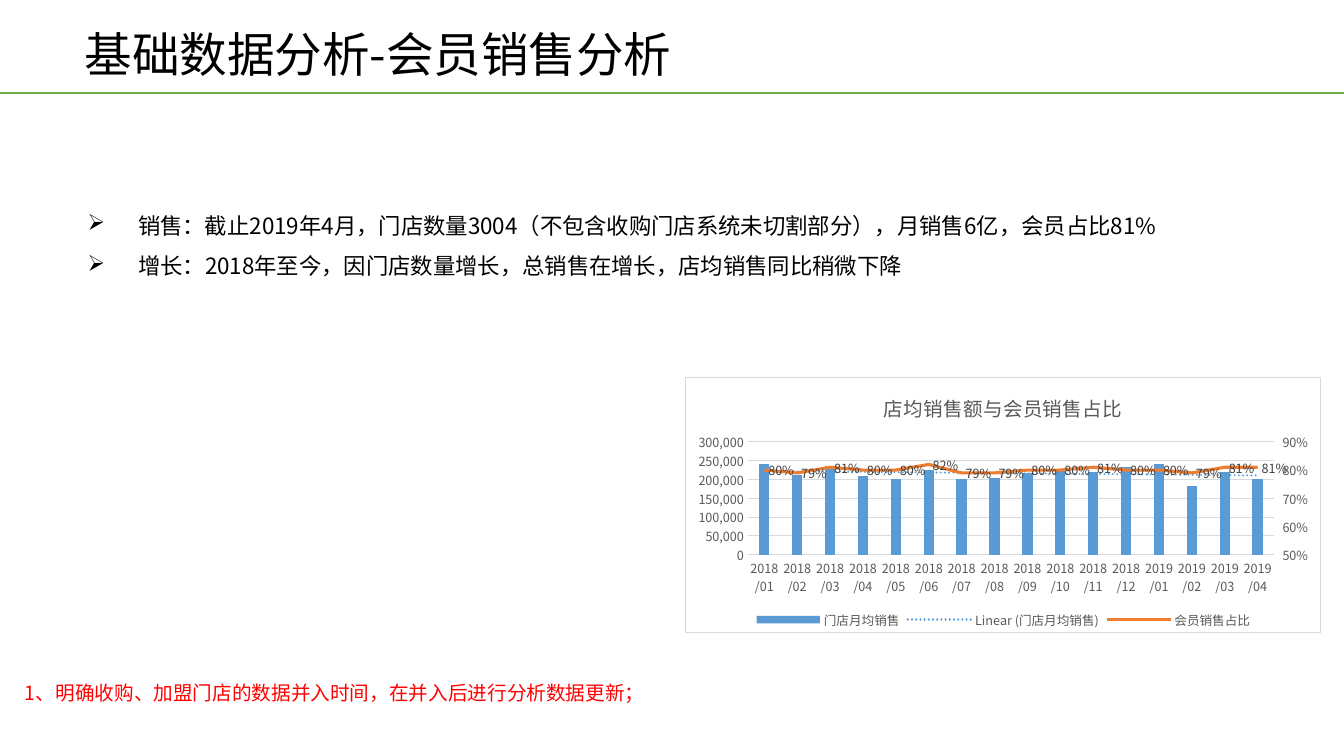
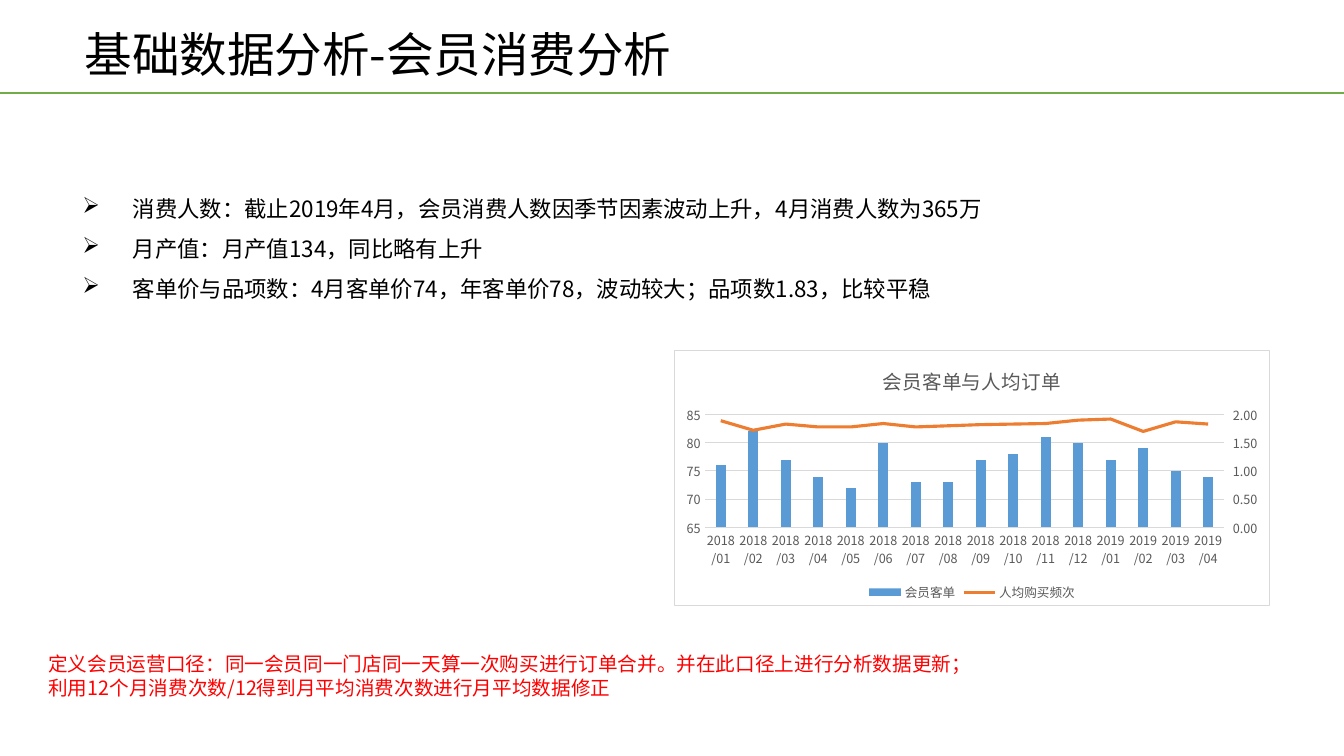
import pptx
import pptx.chart.axis
import pptx.chart.data
import pptx.dml.color
import pptx.enum.chart
import pptx.enum.shapes
import pptx.enum.text
import pptx.oxml
import pptx.oxml.ns
import pptx.util
from lxml import etree

Cm = pptx.util.Cm
Pt = pptx.util.Pt
RGBColor = pptx.dml.color.RGBColor
qn = pptx.oxml.ns.qn

FONT = "Noto Sans CJK SC"
BLACK = RGBColor(0x00, 0x00, 0x00)
WHITE = RGBColor(0xFF, 0xFF, 0xFF)
RED = RGBColor(0xFF, 0x00, 0x00)
GREEN = RGBColor(0x70, 0xAD, 0x47)
BLUE = RGBColor(0x5B, 0x9B, 0xD5)
ORANGE = RGBColor(0xED, 0x7D, 0x31)
AXIS_GRAY = RGBColor(0x59, 0x59, 0x59)
LABEL_GRAY = RGBColor(0x40, 0x40, 0x40)
GRID_GRAY = RGBColor(0xD9, 0xD9, 0xD9)

SLIDE_WIDTH = Cm(33.87)
SLIDE_HEIGHT = Cm(19.05)
RULE_TOP = Cm(2.34)
BULLET_INDENT = Cm(1.27)
MONTHS = [
    f"{year}/{month:02d}"
    for year, last in ((2018, 12), (2019, 4))
    for month in range(1, last + 1)
]


def set_font(font, size, color):
    font.size = Pt(size)
    font.bold = False
    font.color.rgb = color
    font.name = FONT
    latin = font._rPr.find(qn("a:latin"))
    east_asian = etree.Element(qn("a:ea"), typeface=FONT)
    latin.addnext(east_asian)


def add_bullet(paragraph):
    properties = paragraph._p.get_or_add_pPr()
    properties.set("marL", str(BULLET_INDENT))
    properties.set("indent", str(-BULLET_INDENT))
    etree.SubElement(properties, qn("a:buChar"), char="➢")


def write_lines(frame, lines, size=14, color=BLACK, spacing=None, bulleted=False):
    for index, line in enumerate(lines):
        paragraph = frame.add_paragraph() if index else frame.paragraphs[0]
        if spacing:
            paragraph.line_spacing = spacing
        if bulleted:
            add_bullet(paragraph)
        run = paragraph.add_run()
        run.text = line
        set_font(run.font, size, color)


def add_text(slide, box, lines, inset=(0.25, 0.13), anchor="TOP", **text_format):
    frame = slide.shapes.add_textbox(*map(Cm, box)).text_frame
    frame.word_wrap = True
    frame.vertical_anchor = pptx.enum.text.MSO_ANCHOR[anchor]
    frame.margin_left = frame.margin_right = Cm(inset[0])
    frame.margin_top = frame.margin_bottom = Cm(inset[1])
    write_lines(frame, lines, **text_format)


def add_rule(slide):
    rule = slide.shapes.add_connector(
        pptx.enum.shapes.MSO_CONNECTOR.STRAIGHT, 0, RULE_TOP, SLIDE_WIDTH, RULE_TOP
    )
    rule.line.color.rgb = GREEN
    rule.line.width = Pt(1.5)
    etree.SubElement(rule._element.spPr, qn("a:effectLst"))


def add_page(deck, title):
    slide = deck.slides.add_slide(deck.slide_layouts[6])
    add_rule(slide)
    add_text(slide, (1.88, 0.66, 20.27, 1.57), [title],
             anchor="MIDDLE", size=34, spacing=0.9)
    return slide


def add_bullets(slide, box, lines):
    add_text(slide, box, lines, inset=(0.33, 0.18), size=16, spacing=1.5, bulleted=True)


def add_note(slide, box, lines):
    add_text(slide, box, lines, color=RED)


def chart_xml(markup):
    return pptx.oxml.parse_xml(
        markup.replace(">", " " + pptx.oxml.ns.nsdecls("c", "a") + ">", 1)
    )


def style_value_axis(axis, low, high, step, number_format):
    axis.minimum_scale = low
    axis.maximum_scale = high
    axis.major_unit = step
    axis.major_tick_mark = pptx.enum.chart.XL_TICK_MARK.NONE
    axis.tick_labels.number_format = number_format
    axis.tick_labels.number_format_is_linked = False
    axis.format.line.fill.background()
    set_font(axis.tick_labels.font, 9, AXIS_GRAY)


def split_off_line(chart):
    root = chart.element
    bars = root.xpath(".//c:barChart")[0]
    rate = bars.xpath("./c:ser")[1]
    for bar_setting in rate.findall(qn("c:invertIfNegative")):
        rate.remove(bar_setting)
    lines = chart_xml(
        '<c:lineChart><c:grouping val="standard"/><c:varyColors val="0"/>'
        '<c:marker val="1"/><c:axId val="5001"/><c:axId val="5002"/></c:lineChart>'
    )
    lines.insert(2, rate)
    bars.addnext(lines)
    hidden_months = chart_xml(
        '<c:catAx><c:axId val="5001"/><c:scaling><c:orientation val="minMax"/></c:scaling>'
        '<c:delete val="1"/><c:axPos val="b"/><c:crossAx val="5002"/>'
        '<c:crosses val="autoZero"/></c:catAx>'
    )
    right = chart_xml(
        '<c:valAx><c:axId val="5002"/><c:scaling><c:orientation val="minMax"/></c:scaling>'
        '<c:delete val="0"/><c:axPos val="r"/><c:tickLblPos val="nextTo"/>'
        '<c:crossAx val="5001"/><c:crosses val="max"/></c:valAx>'
    )
    root.xpath(".//c:valAx")[0].addnext(hidden_months)
    hidden_months.addnext(right)
    return pptx.chart.axis.ValueAxis(right)


def add_trend(chart):
    trend = chart_xml(
        '<c:trendline><c:spPr>'
        f'<a:ln w="{Pt(1.5)}" cap="rnd"><a:solidFill>'
        f'<a:srgbClr val="{BLUE}"/></a:solidFill><a:prstDash val="sysDot"/></a:ln></c:spPr>'
        '<c:trendlineType val="linear"/><c:dispRSqr val="0"/><c:dispEq val="0"/>'
        '</c:trendline>'
    )
    chart.element.xpath(".//c:barChart/c:ser/c:cat")[0].addprevious(trend)


def add_frame(chart):
    frame = chart_xml(
        f'<c:spPr><a:solidFill><a:srgbClr val="{WHITE}"/></a:solidFill>'
        f'<a:ln w="{Pt(0.75)}"><a:solidFill><a:srgbClr val="{GRID_GRAY}"/>'
        '</a:solidFill></a:ln></c:spPr>'
    )
    chart.element.find(qn("c:txPr")).addprevious(frame)


def label_rates(rate):
    labels = rate.data_labels
    labels.show_value = True
    labels.number_format = "0%"
    labels.number_format_is_linked = False
    labels.position = pptx.enum.chart.XL_LABEL_POSITION.RIGHT
    set_font(labels.font, 9, LABEL_GRAY)


def add_combo_chart(slide, box, title, bar_data, line_data, left_scale, right_scale,
                    trend=False, labelled=False):
    data = pptx.chart.data.CategoryChartData()
    data.categories = MONTHS
    data.add_series(*bar_data)
    data.add_series(*line_data)
    chart = slide.shapes.add_chart(
        pptx.enum.chart.XL_CHART_TYPE.COLUMN_CLUSTERED, *map(Cm, box), data
    ).chart
    set_font(chart.font, 10, BLACK)
    add_frame(chart)
    chart.has_title = True
    write_lines(chart.chart_title.text_frame, [title], color=AXIS_GRAY)
    chart.has_legend = True
    chart.legend.position = pptx.enum.chart.XL_LEGEND_POSITION.BOTTOM
    chart.legend.include_in_layout = False
    set_font(chart.legend.font, 9, AXIS_GRAY)

    months = chart.category_axis
    months.major_tick_mark = pptx.enum.chart.XL_TICK_MARK.NONE
    months.format.line.color.rgb = GRID_GRAY
    months.format.line.width = Pt(0.75)
    set_font(months.tick_labels.font, 9, AXIS_GRAY)
    style_value_axis(chart.value_axis, *left_scale)
    grid = chart.value_axis.major_gridlines.format.line
    grid.color.rgb = GRID_GRAY
    grid.width = Pt(0.75)
    style_value_axis(split_off_line(chart), *right_scale)

    bars, lines = chart.plots
    bars.gap_width = 219
    bars.overlap = -27
    bars.vary_by_categories = False
    bars.series[0].format.fill.solid()
    bars.series[0].format.fill.fore_color.rgb = BLUE
    rate = lines.series[0]
    rate.smooth = False
    rate.marker.style = pptx.enum.chart.XL_MARKER_STYLE.NONE
    rate.format.line.color.rgb = ORANGE
    rate.format.line.width = Pt(2.25)
    if trend:
        add_trend(chart)
    if labelled:
        label_rates(rate)


def build_sales_page(deck):
    slide = add_page(deck, "基础数据分析-会员销售分析")
    add_combo_chart(
        slide, (17.27, 9.5, 16.03, 6.45), "店均销售额与会员销售占比",
        ("门店月均销售", [240000, 213000, 237000, 210000, 201000, 225000, 202000, 203000,
                    216000, 222000, 221000, 232000, 242000, 184000, 220000, 200000]),
        ("会员销售占比", [0.8, 0.79, 0.81, 0.8, 0.8, 0.82, 0.79, 0.79,
                    0.8, 0.8, 0.81, 0.8, 0.8, 0.79, 0.81, 0.81]),
        (0, 300000, 50000, "#,##0"), (0.5, 0.9, 0.1, "0%"),
        trend=True, labelled=True,
    )
    add_bullets(slide, (1.88, 4.83, 30, 2.26), [
        "销售：截止2019年4月，门店数量3004（不包含收购门店系统未切割部分），月销售6亿，会员占比81%",
        "增长：2018年至今，因门店数量增长，总销售在增长，店均销售同比稍微下降",
    ])
    add_note(slide, (0.38, 17.04, 22.43, 0.86), [
        "1、明确收购、加盟门店的数据并入时间，在并入后进行分析数据更新；",
    ])


def build_spending_page(deck):
    slide = add_page(deck, "基础数据分析-会员消费分析")
    add_bullets(slide, (1.75, 4.39, 30.51, 3.43), [
        "消费人数：截止2019年4月，会员消费人数因季节因素波动上升，4月消费人数为365万",
        "月产值：月产值134，同比略有上升",
        "客单价与品项数：4月客单价74，年客单价78，波动较大；品项数1.83，比较平稳",
    ])
    add_combo_chart(
        slide, (16.99, 8.81, 15.01, 6.45), "会员客单与人均订单",
        ("会员客单", [76, 82, 77, 74, 72, 80, 73, 73, 77, 78, 81, 80, 77, 79, 75, 74]),
        ("人均购买频次", [1.89, 1.72, 1.83, 1.78, 1.78, 1.84, 1.78, 1.8,
                    1.82, 1.83, 1.84, 1.9, 1.92, 1.7, 1.87, 1.83]),
        (65, 85, 5, "0"), (0, 2, 0.5, "0.00"),
    )
    add_note(slide, (0.97, 16.31, 26.95, 1.45), [
        "定义会员运营口径：同一会员同一门店同一天算一次购买进行订单合并。并在此口径上进行分析数据更新；",
        "利用12个月消费次数/12得到月平均消费次数进行月平均数据修正",
    ])


def main():
    deck = pptx.Presentation()
    deck.slide_width = SLIDE_WIDTH
    deck.slide_height = SLIDE_HEIGHT
    build_sales_page(deck)
    build_spending_page(deck)
    deck.save("out.pptx")


if __name__ == "__main__":
    main()
